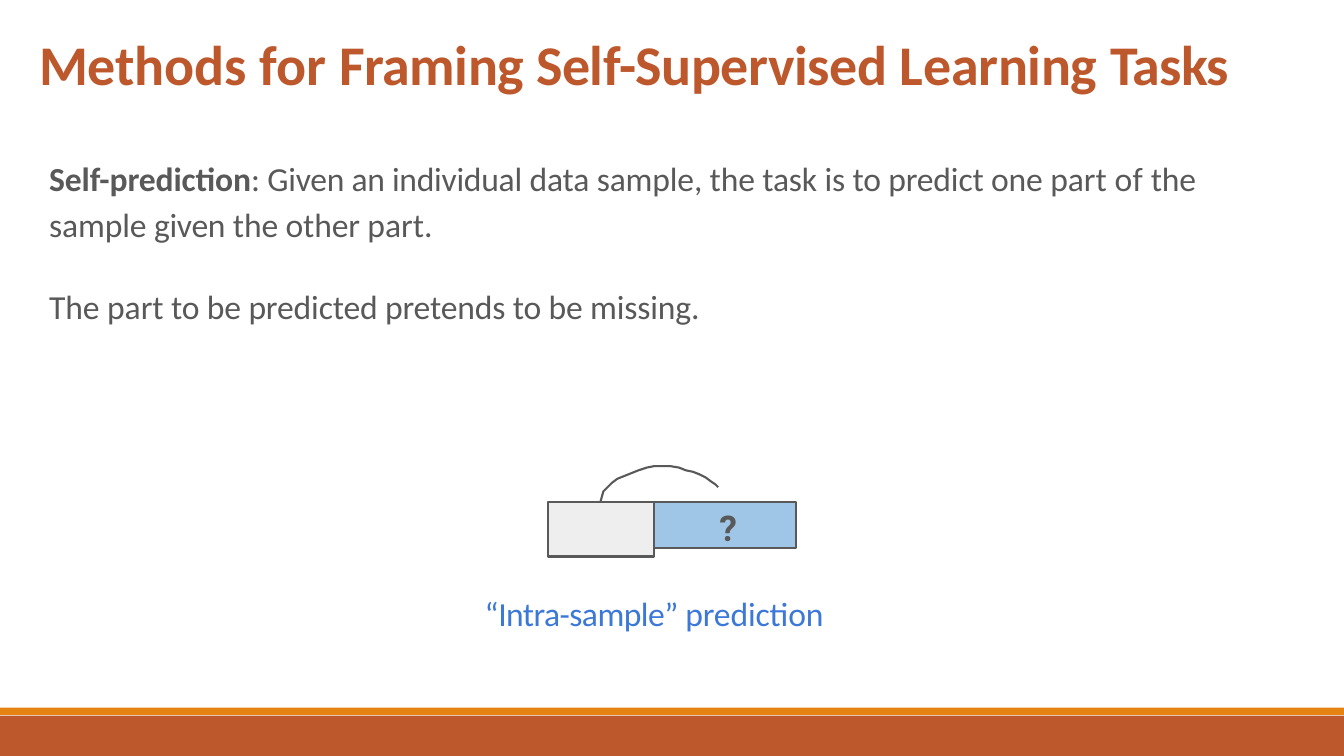
from pptx import Presentation
from pptx.dml.color import RGBColor
from pptx.enum.shapes import MSO_SHAPE
from pptx.enum.text import MSO_ANCHOR, PP_ALIGN
from pptx.util import Pt

THEME = {
    "rust": RGBColor(0xBD, 0x58, 0x2C),
    "orange": RGBColor(0xE4, 0x83, 0x12),
    "gray": RGBColor(0x59, 0x59, 0x59),
    "light": RGBColor(0xEE, 0xEE, 0xEE),
    "sky": RGBColor(0x9F, 0xC5, 0xE7),
    "blue": RGBColor(0x3C, 0x78, 0xD8),
    "title": Pt(40),
    "body": Pt(24),
    "mark": Pt(25.3),
    "outline": Pt(1.5),
}

presentation = Presentation()
presentation.slide_width = Pt(960)
presentation.slide_height = Pt(540)
slide = presentation.slides.add_slide(presentation.slide_layouts[6])


def add_rectangle(left, top, width, height, fill, outlined=False):
    shape = slide.shapes.add_shape(
        MSO_SHAPE.RECTANGLE, Pt(left), Pt(top), Pt(width), Pt(height)
    )
    shape.shadow.inherit = False
    shape.fill.solid()
    shape.fill.fore_color.rgb = THEME[fill]
    if outlined:
        shape.line.color.rgb = THEME["gray"]
        shape.line.width = THEME["outline"]
    else:
        shape.line.fill.background()
    return shape


def write_text(shape, paragraphs, size, color, frame_format, font_name="Calibri"):
    frame = shape.text_frame
    values = {"word_wrap": True, "margin_left": Pt(1.4), "margin_top": Pt(1.4),
              "margin_right": 0, "margin_bottom": 0,
              "vertical_anchor": MSO_ANCHOR.TOP} | frame_format
    for name, value in values.items():
        setattr(frame, name, value)
    for index, (paragraph_format, runs) in enumerate(paragraphs):
        paragraph = frame.add_paragraph() if index else frame.paragraphs[0]
        for name, value in paragraph_format.items():
            setattr(paragraph, name, value)
        for text, bold, spacing in runs:
            run = paragraph.add_run()
            run.text = text
            for name, value in {"name": font_name, "size": THEME[size], "bold": bold}.items():
                setattr(run.font, name, value)
            run.font.color.rgb = THEME[color]
            run._r.get_or_add_rPr().set("spc", str(round(spacing * 100)))


add_rectangle(0, 511.2, 960, 28.8, "rust")
add_rectangle(0, 505.5, 960, 5.1, "orange")

text_boxes = [
    ((33.8, 107.3, 851.8, 126), "body", "gray", {}, [
        ({"line_spacing": 1.14}, [
            ("Self-prediction", True, -0.1),
            (": ", False, -0.1),
            ("Given an individual ", False, -0.2),
            ("data sample, the task is to predict one", False, -0.1),
            (" part", False, 0),
            (" of ", False, 0.1),
            ("the sample ", False, -0.1),
            ("given ", False, -0.2),
            ("the other ", False, -0.1),
            ("part.", False, 0),
        ]),
        ({"space_before": Pt(29.6)}, [
            ("The ", False, -0.1),
            ("part", False, 0),
            (" to be predicted pretends to be missing.", False, -0.1),
        ]),
    ]),
    ((26.6, 19.4, 886.3, 49.7), "title", "rust", {"vertical_anchor": MSO_ANCHOR.BOTTOM}, [
        ({}, [
            ("Methods ", True, -0.1),
            ("for ", True, 0.1),
            ("Framing Self-Supervised ", True, -0.3),
            ("Learning ", True, -0.2),
            ("Tasks", True, -0.5),
        ]),
    ]),
    ((344.9, 421.9, 270.7, 30.2), "body", "blue", {}, [
        ({}, [("“Intra-sample” ", False, -0.4), ("prediction", False, -0.1)]),
    ]),
]
for bounds, size, color, frame_format, paragraphs in text_boxes:
    box = slide.shapes.add_textbox(*map(Pt, bounds))
    write_text(box, paragraphs, size, color, frame_format)

add_rectangle(391.5, 358.3, 75.8, 39.2, "light", outlined=True)

arc_points = [
    (429.1, 358.3), (431.3, 351.4), (434.2, 348.5), (437, 344.9), (440.6, 342),
    (445.7, 339.8), (450.7, 337.7), (455.8, 335.5), (461.5, 334.1), (467.3, 333.4),
    (473.8, 333.2), (478.8, 333.4), (484.6, 334.1), (489.6, 335.5), (494.6, 337),
    (499.7, 339.1), (504, 341.3), (508.3, 344.2), (511.2, 346.3), (512.6, 347.8),
]
builder = slide.shapes.build_freeform(*arc_points[0], scale=Pt(1))
builder.add_line_segments(arc_points[1:], close=False)
arc = builder.convert_to_shape()
arc.shadow.inherit = False
arc.fill.background()
arc.line.color.rgb = THEME["gray"]
arc.line.width = THEME["outline"]

hidden_part = add_rectangle(467.3, 358.3, 101.5, 33.1, "sky", outlined=True)
write_text(
    hidden_part,
    [({"alignment": PP_ALIGN.CENTER}, [("?", True, -0.1)])],
    "mark", "gray", {"margin_left": Pt(4.3), "margin_top": Pt(2.9)}, "Roboto",
)

presentation.save("out.pptx")
